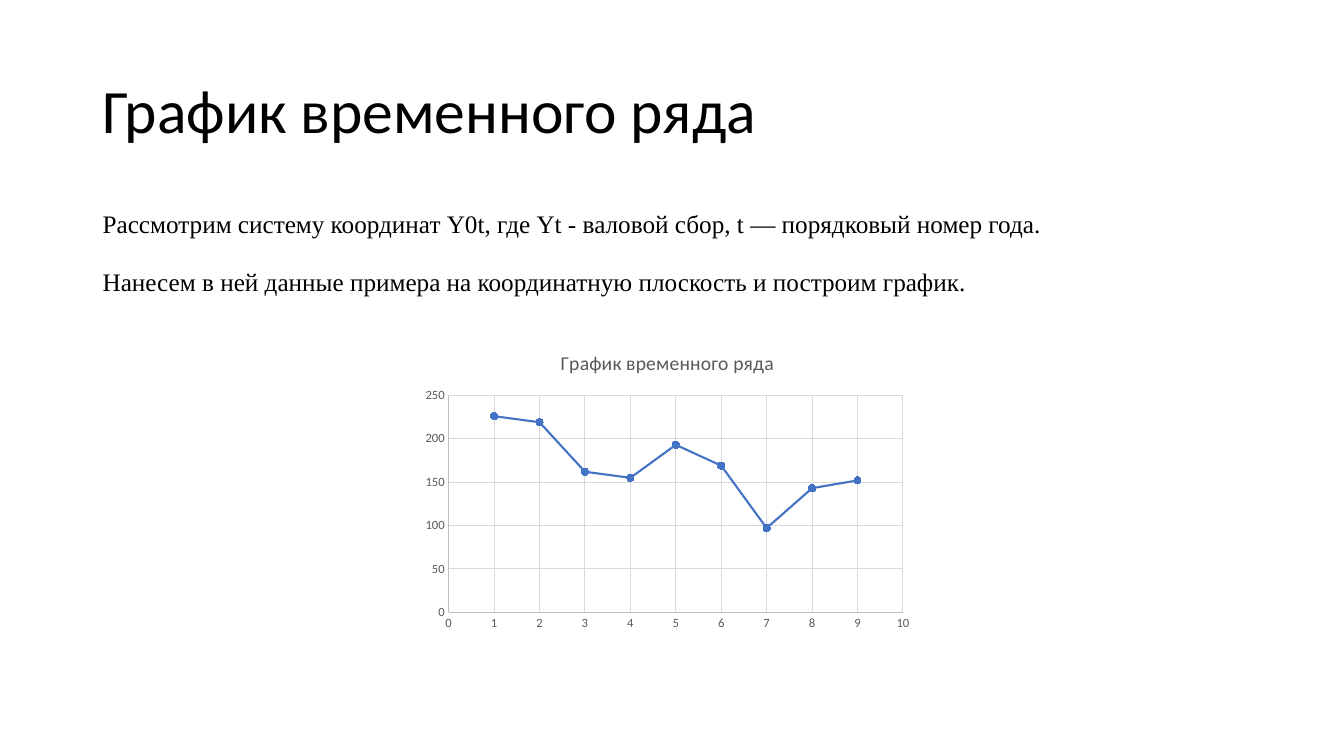
from pptx import Presentation
from pptx.chart.data import XyChartData
from pptx.dml.color import RGBColor
from pptx.enum.chart import XL_CHART_TYPE, XL_MARKER_STYLE, XL_TICK_MARK
from pptx.enum.text import MSO_ANCHOR
from pptx.util import Inches, Pt

SCATTER = XL_CHART_TYPE.XY_SCATTER_LINES
CIRCLE = XL_MARKER_STYLE.CIRCLE
NO_TICK = XL_TICK_MARK.NONE
MIDDLE, TOP = MSO_ANCHOR.MIDDLE, MSO_ANCHOR.TOP

COLORS = {"text": "000000", "label": "595959", "axis": "BFBFBF",
          "grid": "D9D9D9", "series": "4472C4"}
HEADING = "График временного ряда"
BODY = [
    "Рассмотрим систему координат Y0t, где Yt - валовой сбор, t — порядковый номер года.",
    "Нанесем в ней данные примера на координатную плоскость и построим график.",
]
HARVEST = [226, 219, 162, 155, 193, 169, 97, 143, 152]
TITLE_FORM = {"line_spacing": 0.9}
BODY_FORM = {"line_spacing": 1.07, "space_before": Pt(10), "space_after": Pt(8)}


def color(name):
    return RGBColor.from_string(COLORS[name])


def set_all(target, form):
    for key, value in form.items():
        setattr(target, key, value)


def set_font(font, size, name="text", face="Calibri"):
    set_all(font, {"size": Pt(size), "name": face, "bold": False})
    font.color.rgb = color(name)


def set_line(line, name, width):
    line.color.rgb = color(name)
    line.width = Pt(width)


def add_text(slide, box, lines, size, face, anchor, form):
    frame = slide.shapes.add_textbox(*map(Inches, box)).text_frame
    set_all(frame, {"word_wrap": True, "vertical_anchor": anchor,
                    "text": "\n".join(lines)})
    for para in frame.paragraphs:
        set_all(para, form)
        set_font(para.runs[0].font, size, face=face)


def style_axis(axis, top, step):
    set_all(axis, {"minimum_scale": 0, "maximum_scale": top, "major_unit": step,
                   "major_tick_mark": NO_TICK, "minor_tick_mark": NO_TICK,
                   "has_major_gridlines": True})
    set_font(axis.tick_labels.font, 9, "label")
    set_line(axis.format.line, "axis", 0.75)
    set_line(axis.major_gridlines.format.line, "grid", 0.75)


def add_plot(slide, box):
    """Add the scatter chart of harvest by year number."""
    data = XyChartData()
    points = data.add_series("Series 1")
    for year, value in enumerate(HARVEST, 1):
        points.add_data_point(year, value)
    chart = slide.shapes.add_chart(SCATTER, *map(Inches, box), data).chart
    set_font(chart.font, 10)
    set_all(chart, {"has_legend": False, "has_title": True})
    frame = chart.chart_title.text_frame
    frame.text = HEADING
    set_font(frame.paragraphs[0].runs[0].font, 14, "label")
    chart.chart_title.include_in_layout = False

    style_axis(chart.category_axis, 10, 1)
    style_axis(chart.value_axis, 250, 50)

    plot = chart.plots[0]
    plot.vary_by_categories = False
    series = plot.series[0]
    set_line(series.format.line, "series", 1.5)
    marker = series.marker
    set_all(marker, {"style": CIRCLE, "size": 5})
    marker.format.fill.solid()
    marker.format.fill.fore_color.rgb = color("series")
    set_line(marker.format.line, "series", 0.75)
    series.smooth = False


def main():
    deck = Presentation()
    set_all(deck, {"slide_width": Inches(13.33), "slide_height": Inches(7.5)})
    slide = deck.slides.add_slide(deck.slide_layouts[6])
    add_text(slide, (0.92, 0.4, 11.5, 1.45), [HEADING], 44, "Calibri",
             MIDDLE, TITLE_FORM)
    add_text(slide, (0.92, 2, 11.5, 4.76), BODY, 18, "Times New Roman",
             TOP, BODY_FORM)
    add_plot(slide, (4.12, 3.32, 5, 3))
    deck.save("out.pptx")


if __name__ == "__main__":
    main()
